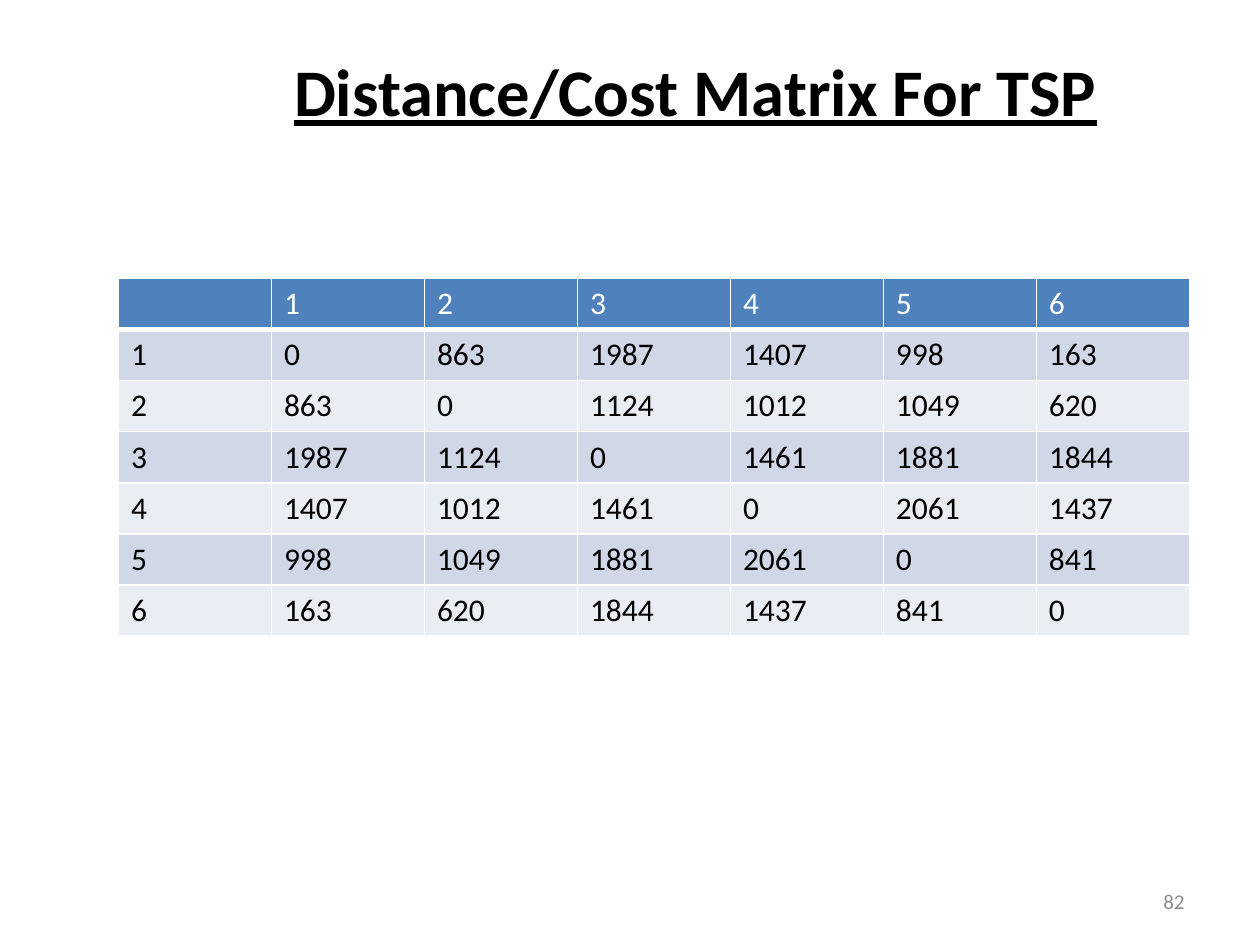
from lxml import etree
from pptx import Presentation
from pptx import util as u
from pptx.dml import color
from pptx.enum import text
from pptx.oxml import ns

DISTANCES = [
    [0, 863, 1987, 1407, 998, 163],
    [863, 0, 1124, 1012, 1049, 620],
    [1987, 1124, 0, 1461, 1881, 1844],
    [1407, 1012, 1461, 0, 2061, 1437],
    [998, 1049, 1881, 2061, 0, 841],
    [163, 620, 1844, 1437, 841, 0],
]


def rgb(code):
    """Return the colour for a hex string."""
    return color.RGBColor.from_string(code)


def write(frame, words, font="Calibri", size=18, ink="000000", bold=False,
          underline=False, align=text.PP_ALIGN.LEFT):
    """Put formatted words in the first paragraph of a text frame."""
    line = frame.paragraphs[0]
    line.alignment = align
    run = line.add_run()
    run.text = words
    run.font.name, run.font.size = font, u.Pt(size)
    run.font.bold, run.font.underline = bold, underline
    run.font.color.rgb = rgb(ink)


class Deck:
    """Hold the style and the current slide."""

    white, header, bands = "FFFFFF", "4F81BD", ("D0D8E8", "E9EDF4")
    grey = "8C8C8C"

    def __init__(self):
        """Open a title-only slide of 10 by 7.5 inches."""
        self.deck = Presentation()
        self.deck.slide_width, self.deck.slide_height = u.Inches(10), u.Inches(7.5)
        self.slide = self.deck.slides.add_slide(self.deck.slide_layouts[5])

    def title(self, words, left, top, width, height):
        """Place the heading in the upper part of its box."""
        heading = self.slide.shapes.title
        heading.left, heading.top = u.Inches(left), u.Inches(top)
        heading.width, heading.height = u.Inches(width), u.Inches(height)
        frame = heading.text_frame
        frame.auto_size = text.MSO_AUTO_SIZE.NONE
        frame.vertical_anchor = text.MSO_ANCHOR.MIDDLE
        frame.margin_bottom = u.Inches(0.69)
        write(frame, words, size=38, bold=True, underline=True,
              align=text.PP_ALIGN.CENTER)

    def borders(self, cell, bottom):
        """Draw white lines around a cell."""
        props = cell._tc.get_or_add_tcPr()
        for side, points in zip("LRTB", (1, 1, 1, bottom)):
            edge = etree.SubElement(props, ns.qn(f"a:ln{side}"), w=str(u.Pt(points)))
            fill = etree.SubElement(edge, ns.qn("a:solidFill"))
            etree.SubElement(fill, ns.qn("a:srgbClr"), val=self.white)

    def matrix(self, distances, left, top, width, height):
        """Add the table with numbered rows and columns."""
        count = len(distances) + 1
        rows = [["", *range(1, count)]]
        rows += [[city, *row] for city, row in enumerate(distances, 1)]
        table = self.slide.shapes.add_table(
            count, count, u.Inches(left), u.Inches(top),
            u.Inches(width), u.Inches(height)).table
        for i, row in enumerate(rows):
            fill = self.bands[(i - 1) % 2] if i else self.header
            for j, value in enumerate(row):
                cell = table.cell(i, j)
                self.borders(cell, bottom=1 if i else 3)
                cell.fill.solid()
                cell.fill.fore_color.rgb = rgb(fill)
                if value != "":
                    write(cell.text_frame, str(value),
                          ink="000000" if i else self.white)

    def page_number(self, words, left, top, width, height):
        """Add the page number at the lower right."""
        number = self.slide.shapes.add_textbox(
            u.Inches(left), u.Inches(top), u.Inches(width), u.Inches(height))
        frame = number.text_frame
        frame.word_wrap = True
        frame.vertical_anchor = text.MSO_ANCHOR.MIDDLE
        write(frame, words, size=12, ink=self.grey, align=text.PP_ALIGN.RIGHT)


def main():
    """Build and save the slide."""
    page = Deck()
    page.matrix(DISTANCES, 0.94, 2.21, 8.5, 2.84)
    page.title("Distance/Cost Matrix For TSP", 1.26, 0.23, 8.52, 1.6)
    page.page_number("82", 7.17, 6.95, 2.33, 0.4)
    page.deck.save("out.pptx")


if __name__ == "__main__":
    main()
